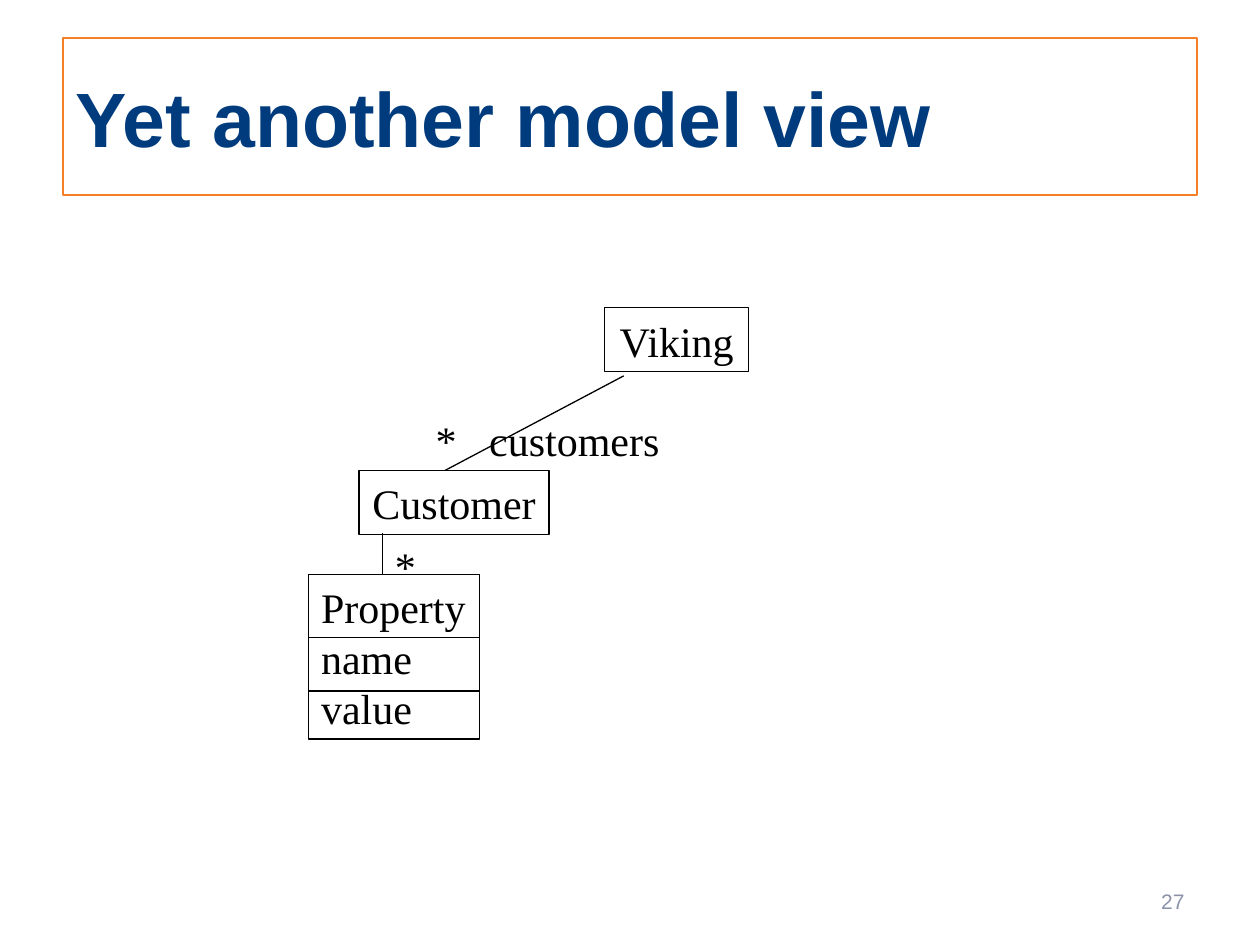
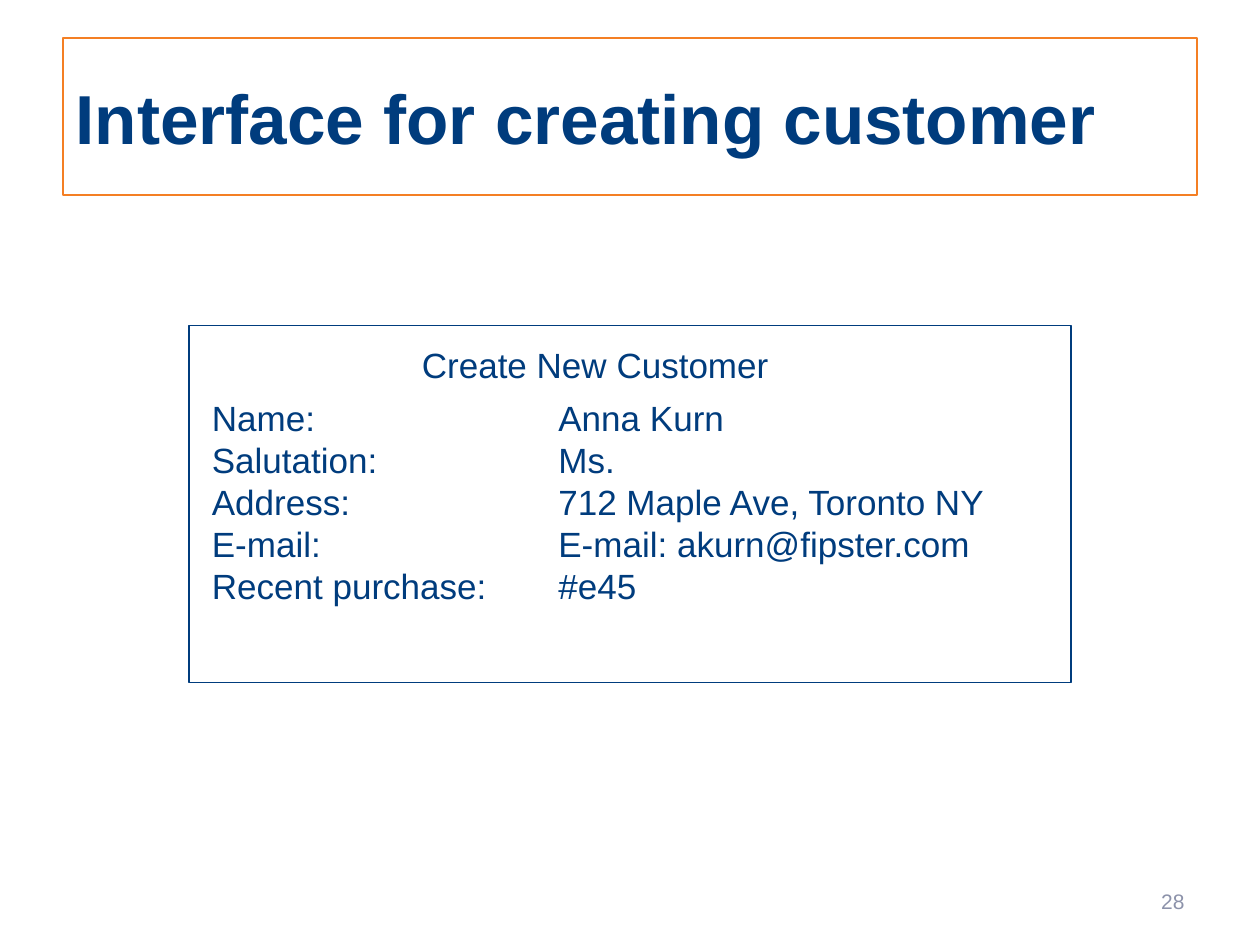
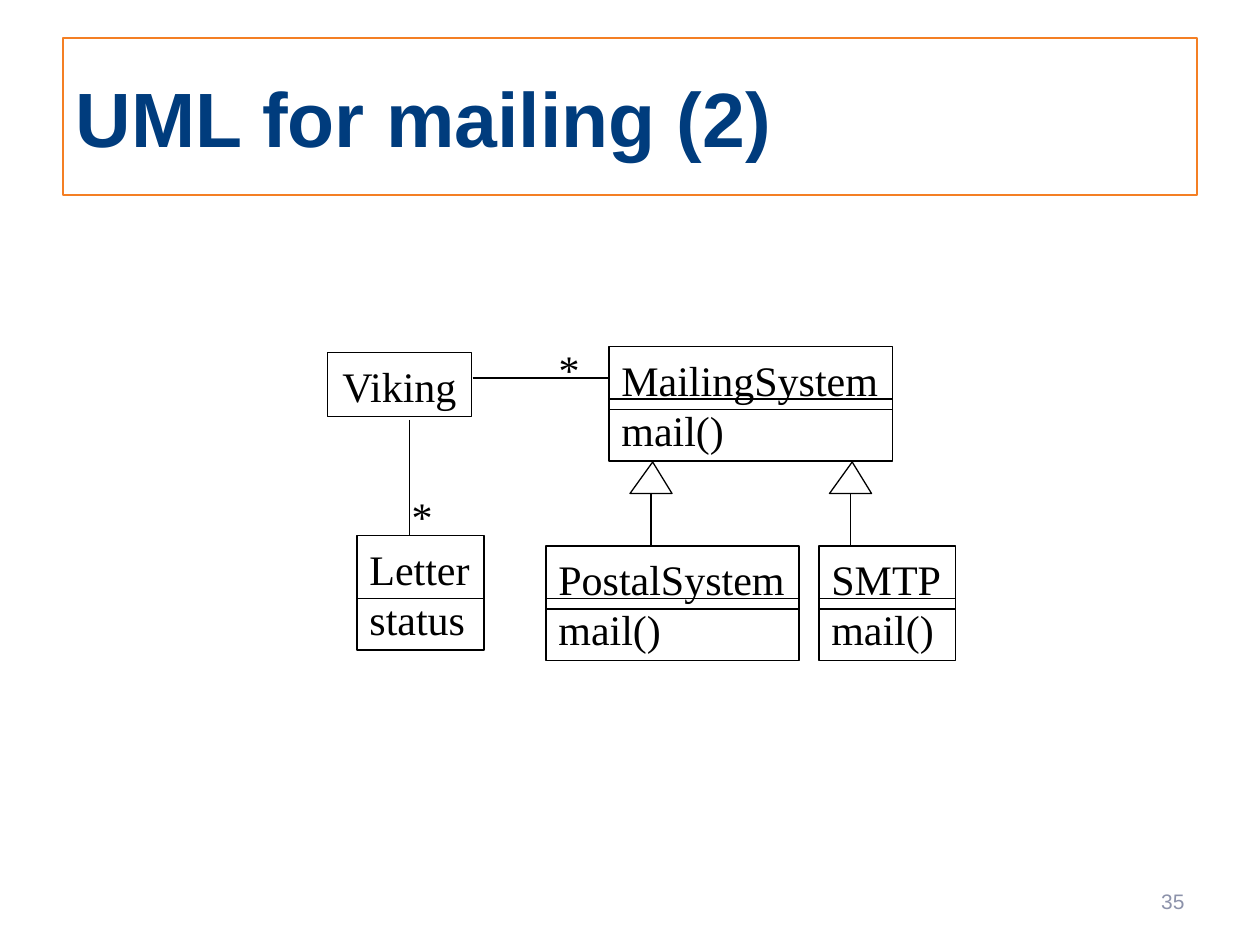
from dataclasses import dataclass

from lxml.etree import SubElement
from pptx import Presentation
from pptx.dml.color import RGBColor
from pptx.enum.shapes import MSO_CONNECTOR, MSO_SHAPE
from pptx.enum.text import MSO_ANCHOR, MSO_AUTO_SIZE, PP_ALIGN
from pptx.oxml.ns import qn
from pptx.util import Inches, Pt

NAVY = RGBColor(0x00, 0x3C, 0x7D)
ORANGE = RGBColor(0xF4, 0x7F, 0x24)
GREY = RGBColor(0x8C, 0x92, 0xAA)
BLACK = RGBColor(0x00, 0x00, 0x00)

SANS = "Arial"
SERIF = "Times New Roman"

WIDTH, HEIGHT = Inches(10), Inches(7.5)
COLUMNS, ROWS = 120, 90
THIN = 0.75
LEADING = 1.2
TITLE_ONLY = 5


@dataclass(frozen=True)
class Area:
    column: float
    row: float
    columns: float
    rows: float

    def lengths(self) -> tuple[int, int, int, int]:
        return (across(self.column), down(self.row),
                across(self.columns), down(self.rows))


@dataclass(frozen=True)
class ClassBox:
    area: Area
    lines: tuple[str, ...]
    dividers: tuple[float, ...] = ()


@dataclass(frozen=True)
class Label:
    area: Area
    text: str


@dataclass(frozen=True)
class Link:
    start: tuple[float, float]
    end: tuple[float, float]


@dataclass(frozen=True)
class Inheritance:
    column: float
    row: float


TITLE_AREA = Area(6, 3.6, 108, 15)
NUMBER_AREA = Area(86, 83.4, 28, 4.8)


def across(columns: float) -> int:
    return round(WIDTH * columns / COLUMNS)


def down(rows: float) -> int:
    return round(HEIGHT * rows / ROWS)


def write(shape, lines, *, size: float, font: str, color: RGBColor,
          bold: bool = False, align=PP_ALIGN.LEFT, anchor=MSO_ANCHOR.TOP,
          fitted: bool = True) -> None:
    frame = shape.text_frame
    frame.text = "\n".join(lines)
    frame.vertical_anchor = anchor
    frame.word_wrap = not fitted
    frame.auto_size = MSO_AUTO_SIZE.SHAPE_TO_FIT_TEXT if fitted else MSO_AUTO_SIZE.NONE
    if fitted:
        frame.margin_top = Inches(0.06)
    for para in frame.paragraphs:
        para.alignment = align
        if fitted:
            para.line_spacing = Pt(size * LEADING)
        for span in para.runs:
            span.font.size = Pt(size)
            span.font.name = font
            span.font.bold = bold
            span.font.color.rgb = color


def add_page(deck, title: str, number: int, size: float = 44):
    page = deck.slides.add_slide(deck.slide_layouts[TITLE_ONLY])
    heading = page.shapes.title
    heading.left, heading.top, heading.width, heading.height = TITLE_AREA.lengths()
    heading.line.color.rgb = ORANGE
    heading.line.width = Pt(1)
    write(heading, [title], size=size, font=SANS, color=NAVY, bold=True,
          anchor=MSO_ANCHOR.MIDDLE, fitted=False)
    add_text(page, NUMBER_AREA, [str(number)], size=12, font=SANS, color=GREY,
             align=PP_ALIGN.RIGHT, anchor=MSO_ANCHOR.MIDDLE, fitted=False)
    return page


def add_text(page, area: Area, lines, **style) -> None:
    write(page.shapes.add_textbox(*area.lengths()), lines, **style)


def add_outline(page, area: Area, color: RGBColor = BLACK,
                preset=MSO_SHAPE.RECTANGLE):
    shape = page.shapes.add_shape(preset, *area.lengths())
    shape.shadow.inherit = False
    shape.fill.background()
    shape.line.color.rgb = color
    shape.line.width = Pt(THIN)
    return shape


def add_link(page, link: Link) -> None:
    (start_column, start_row), (end_column, end_row) = link.start, link.end
    line = page.shapes.add_connector(
        MSO_CONNECTOR.STRAIGHT, across(start_column), down(start_row),
        across(end_column), down(end_row))
    line.line.color.rgb = BLACK
    line.line.width = Pt(THIN)
    SubElement(line._element.spPr, qn("a:effectLst"))


def add_class(page, item: ClassBox) -> None:
    area = item.area
    align = PP_ALIGN.LEFT if item.dividers else PP_ALIGN.CENTER
    write(add_outline(page, area), item.lines, size=24, font=SERIF,
          color=BLACK, align=align)
    for offset in item.dividers:
        row = area.row + offset
        add_link(page, Link((area.column, row), (area.column + area.columns, row)))


def add_label(page, label: Label) -> None:
    add_text(page, label.area, [label.text], size=24, font=SERIF, color=BLACK,
             align=PP_ALIGN.CENTER)


def add_inheritance(page, item: Inheritance) -> None:
    head = add_outline(page, Area(item.column, item.row, 4, 3),
                       preset=MSO_SHAPE.ISOSCELES_TRIANGLE)
    head.adjustments[0] = 0.54
    stem = item.column + 2
    add_link(page, Link((stem, item.row + 3), (stem, item.row + 8)))


def star(column: float, row: float) -> Label:
    return Label(Area(column, row, 4.4, 6), "*")


def viking(column: float, row: float) -> ClassBox:
    return ClassBox(Area(column, row, 13.7, 6.1), ("Viking",))


DRAWERS = {ClassBox: add_class, Label: add_label, Link: add_link,
           Inheritance: add_inheritance}


def add_diagram(page, items) -> None:
    for item in items:
        DRAWERS[type(item)](page, item)


MODEL_VIEW = (
    ClassBox(Area(34.2, 44.8, 18.1, 6.1), ("Customer",)),
    Link((59.4, 35.8), (42.4, 44.8)),
    Label(Area(45.4, 38.8, 18.6, 6), "customers"),
    star(40.3, 38.8),
    viking(57.6, 29.3),
    ClassBox(Area(29.4, 54.7, 16.3, 15.7), ("Property", "name", "value"), (6, 11.1)),
    Link((36.4, 50.8), (36.4, 54.7)),
    star(36.4, 50.8),
)

MAILING = (
    ClassBox(Area(34, 51, 12.1, 10.9), ("Letter", "status"), (6,)),
    ClassBox(Area(52, 52, 24.1, 10.9), ("PostalSystem", "mail()"), (5, 6)),
    Link((39, 40), (39, 51)),
    Link((45, 36), (58, 36)),
    star(52, 32),
    star(38, 46),
    viking(31.2, 33.6),
    ClassBox(Area(58, 33, 27, 10.9), ("MailingSystem", "mail()"), (5, 6)),
    ClassBox(Area(78, 52, 13, 10.9), ("SMTP", "mail()"), (5, 6)),
    Inheritance(79, 44),
    Inheritance(60, 44),
)

CUSTOMER = {
    "Name:": "Anna Kurn",
    "Salutation:": "Ms.",
    "Address:": "712 Maple Ave, Toronto NY",
    "E-mail:": "E-mail: akurn@fipster.com",
    "Recent purchase:": "#e45",
}


def add_form(page) -> None:
    style = dict(size=20, font=SANS, color=NAVY)
    add_text(page, Area(52, 37, 43.2, 25.4), CUSTOMER.values(), **style)
    add_text(page, Area(19, 37, 28.8, 25.4), CUSTOMER.keys(), **style)
    add_outline(page, Area(18, 31, 84, 34), NAVY)
    add_text(page, Area(39, 32, 35.8, 5.3), ["Create New Customer"], **style)


def main() -> None:
    deck = Presentation()
    deck.slide_width, deck.slide_height = WIDTH, HEIGHT
    add_diagram(add_page(deck, "Yet another model view", 27), MODEL_VIEW)
    add_form(add_page(deck, "Interface for creating customer", 28, size=39.6))
    add_diagram(add_page(deck, "UML for mailing (2)", 35), MAILING)
    deck.save("out.pptx")


main()
